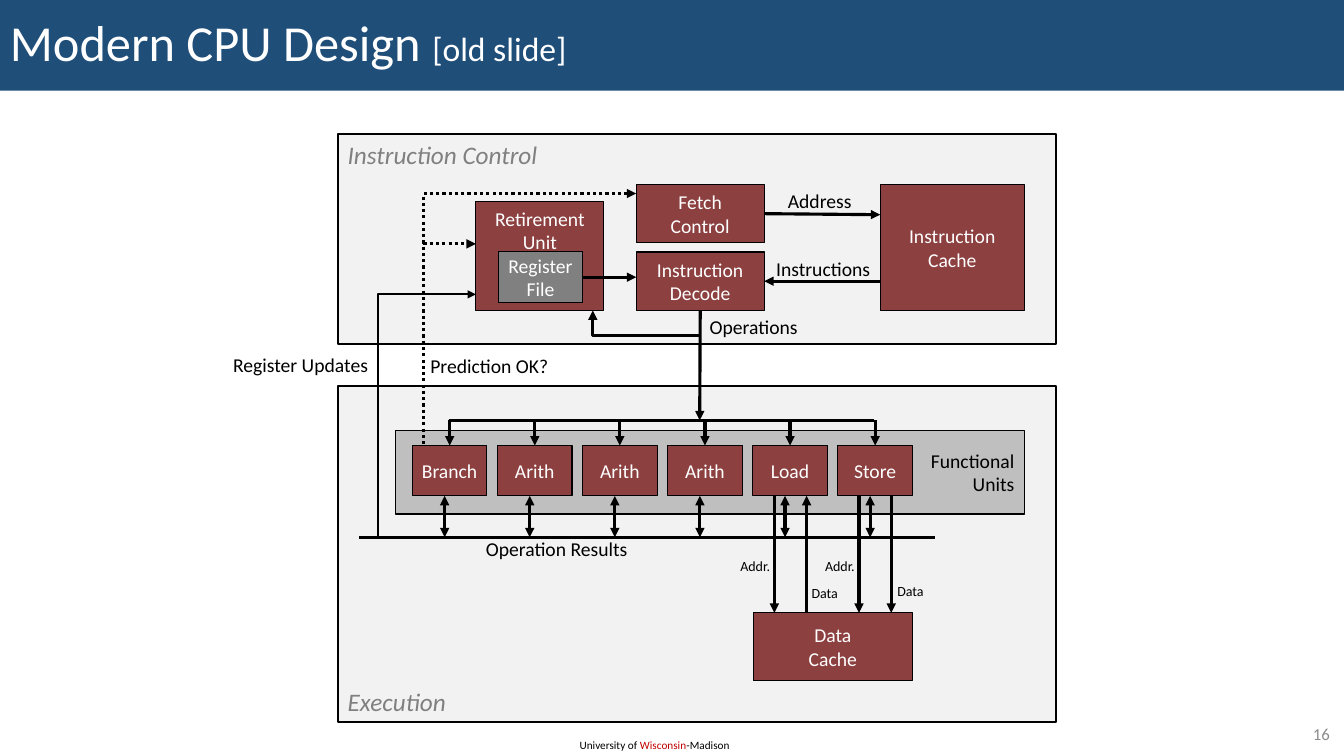
import pptx
import pptx.util
import pptx.dml.color
import pptx.enum.dml
import pptx.enum.shapes
import pptx.enum.text
import pptx.oxml.ns
from lxml import etree

Inches = pptx.util.Inches
ALIGN = pptx.enum.text.PP_ALIGN
ANCHOR = pptx.enum.text.MSO_ANCHOR
LEFT, CENTER, RIGHT = ALIGN.LEFT, ALIGN.CENTER, ALIGN.RIGHT
TOP, MIDDLE, BOTTOM = ANCHOR.TOP, ANCHOR.MIDDLE, ANCHOR.BOTTOM

COLORS = {"black": "000000", "white": "FFFFFF", "banner": "1F4E79", "panel": "F2F2F2",
          "band": "BFBFBF", "block": "8C4040", "gray": "808080", "red": "C00000", "number": "8C8C8C"}

TITLE = [("Modern CPU Design ", 36, "white"), ("[old slide]", 24, "white")]
FOOTER = [("University of ", 8, "black"), ("Wisconsin", 8, "red"), ("-Madison", 8, "black")]
PAGE = "16"

PANELS = [
    ("Execution", (3.35, 3.83, 7.12, 3.33), BOTTOM),
    ("Instruction Control", (3.35, 1.33, 7.12, 2.08), TOP),
]
FUNCTIONAL_UNITS = ("Functional\nUnits", (3.92, 4.27, 6.24, 0.83))
BLOCKS = {
    "icache": ("Instruction\nCache", (8.73, 1.83, 1.43, 1.25), "block", MIDDLE),
    "dcache": ("Data\nCache", (7.47, 6.08, 1.58, 0.67), "block", MIDDLE),
    "fetch": ("Fetch\nControl", (6.31, 1.83, 1.27, 0.58), "block", MIDDLE),
    "decode": ("Instruction\nDecode", (6.31, 2.5, 1.27, 0.58), "block", MIDDLE),
    "retire": ("Retirement\nUnit", (4.72, 2, 1.27, 1.08), "block", TOP),
    "registers": ("Register\nFile", (4.94, 2.5, 0.84, 0.5), "gray", MIDDLE),
}
UNITS = ["Branch", "Arith", "Arith", "Arith", "Load", "Store"]
UNIT_LEFT, UNIT_PITCH, UNIT_WIDTH = 4.09, 0.844, 0.74
UNIT_TOP, UNIT_BOTTOM = 4.42, 4.92
ISSUE_Y, RESULT_Y, DCACHE_TOP = 4.17, 5.33, 6.08

WIRES = [
    (("fetch", 3), (8.73, 2.13), "tail", False),
    ((8.73, 2.79), ("decode", 3), "tail", False),
    (("decode", 2), (6.94, ISSUE_Y), "tail", False),
    (("registers", 3), (6.31, 2.75), "tail", False),
    ((4.2, 2.42), (4.72, 2.42), "tail", True),
    ((7.68, UNIT_BOTTOM), (7.68, DCACHE_TOP), "tail", False),
    ((8, DCACHE_TOP), (8, UNIT_BOTTOM), "tail", False),
    ((8.52, UNIT_BOTTOM), (8.52, DCACHE_TOP), "tail", False),
    ((8.84, UNIT_BOTTOM), (8.84, DCACHE_TOP), "tail", False),
    ((4.45, ISSUE_Y), (8.67, ISSUE_Y), "", False),
    ((3.56, RESULT_Y), (9.27, RESULT_Y), "", False),
]
BENDS = [
    ([(6.31, 1.92), (4.2, 1.92), (4.2, UNIT_TOP)], "head", True, 2.25),
    ([(4.72, 2.92), (3.75, 2.92), (3.75, RESULT_Y)], "head", False, 1.5),
    ([(6.94, 3.33), (5.88, 3.33), (5.88, 3.08)], "tail", False, 2.25),
]
LABELS = [
    ("Address", (7.7, 1.83, 0.86, 0.34), 14, CENTER),
    ("Instructions", (7.58, 2.5, 1.17, 0.34), 14, CENTER),
    ("Operations", (6.92, 3.08, 1.11, 0.34), 14, CENTER),
    ("Prediction OK?", (4.17, 3.46, 1.41, 0.34), 14, LEFT),
    ("Register Updates", (2.17, 3.45, 1.58, 0.34), 14, RIGHT),
    ("Operation Results", (4.72, 5.28, 1.66, 0.34), 14, LEFT),
    ("Data", (8.79, 5.73, 0.48, 0.27), 10, CENTER),
    ("Data", (7.94, 5.75, 0.48, 0.27), 10, CENTER),
    ("Addr.", (7.23, 5.48, 0.52, 0.27), 10, CENTER),
    ("Addr.", (8.07, 5.48, 0.52, 0.27), 10, CENTER),
]

deck = pptx.Presentation()
deck.slide_width, deck.slide_height = Inches(13.33), Inches(7.5)
slide = deck.slides.add_slide(deck.slide_layouts[6])
shapes = slide.shapes
blocks = {}


def rgb(color):
    return pptx.dml.color.RGBColor.from_string(COLORS[color])


def set_font(font, size, color, italic=None):
    font.name, font.size, font.italic = "Calibri", pptx.util.Pt(size), italic
    font.color.rgb = rgb(color)


def write(shape, text, size, color, align, anchor, italic=None, wrap=False):
    frame = shape.text_frame
    frame.word_wrap, frame.vertical_anchor = wrap, anchor
    frame.text = text
    for paragraph in frame.paragraphs:
        paragraph.alignment = align
        set_font(paragraph.font, size, color, italic)


def write_runs(shape, runs, anchor):
    frame = shape.text_frame
    frame.word_wrap, frame.vertical_anchor = True, anchor
    paragraph = frame.paragraphs[0]
    paragraph.alignment = LEFT
    for text, size, color in runs:
        run = paragraph.add_run()
        run.text = text
        set_font(run.font, size, color)
    return paragraph


def add_box(place, fill, border=None):
    box = shapes.add_shape(pptx.enum.shapes.MSO_SHAPE.RECTANGLE, *map(Inches, place))
    box.shadow.inherit = False
    box.fill.solid()
    box.fill.fore_color.rgb = rgb(fill)
    if border:
        box.line.color.rgb = rgb("black")
        box.line.width = pptx.util.Pt(border)
    else:
        box.line.fill.background()
    return box


def add_label(text, place, size, align, color="black", anchor=TOP):
    write(shapes.add_textbox(*map(Inches, place)), text, size, color, align, anchor)


def style_line(line, arrows, dotted, width=2.25):
    line.color.rgb = rgb("black")
    line.width = pptx.util.Pt(width)
    if dotted:
        line.dash_style = pptx.enum.dml.MSO_LINE.ROUND_DOT
    for end in arrows.split():
        etree.SubElement(line._get_or_add_ln(), pptx.oxml.ns.qn(f"a:{end}End"), type="triangle")


def add_wire(start, end, arrows, dotted=False):
    points = [(0, 0) if point[0] in blocks else point for point in (start, end)]
    wire = shapes.add_connector(pptx.enum.shapes.MSO_CONNECTOR.STRAIGHT,
                                *(Inches(value) for point in points for value in point))
    for point, connect in ((start, wire.begin_connect), (end, wire.end_connect)):
        if point[0] in blocks:
            connect(blocks[point[0]], point[1])
    style_line(wire.line, arrows, dotted)
    etree.SubElement(wire._element.spPr, pptx.oxml.ns.qn("a:effectLst"))


def add_bend(points, arrows, dotted, width):
    corners = [(Inches(x), Inches(y)) for x, y in points]
    builder = shapes.build_freeform(*corners[0])
    builder.add_line_segments(corners[1:], close=False)
    bend = builder.convert_to_shape()
    bend.shadow.inherit = False
    bend.fill.background()
    style_line(bend.line, arrows, dotted, width)


banner = add_box((0, 0, 13.33, 0.9), "banner")
write_runs(banner, TITLE, MIDDLE).line_spacing = 0.9
write_runs(shapes.add_textbox(*map(Inches, (5.65, 7.28, 1.72, 0.24))), FOOTER, TOP)
add_label(PAGE, (12.53, 7.13, 0.76, 0.29), 12, RIGHT, "number", MIDDLE)

for text, place, anchor in PANELS:
    write(add_box(place, "panel", 1.5), text, 18, "gray", LEFT, anchor, True)
band_text, band_place = FUNCTIONAL_UNITS
write(add_box(band_place, "band", 0.75), band_text, 14, "black", RIGHT, MIDDLE)

for key, (text, place, fill, anchor) in BLOCKS.items():
    blocks[key] = add_box(place, fill, 0.75)
    write(blocks[key], text, 14, "white", CENTER, anchor)

for index, unit in enumerate(UNITS):
    left = UNIT_LEFT + index * UNIT_PITCH
    key = f"unit {index}"
    blocks[key] = add_box((left, UNIT_TOP, UNIT_WIDTH, UNIT_BOTTOM - UNIT_TOP), "block", 0.75)
    write(blocks[key], unit, 14, "white", CENTER, MIDDLE)
    add_wire((left + UNIT_WIDTH / 2, ISSUE_Y), (key, 0), "tail")
    result_x = left + 0.32
    add_wire((result_x, UNIT_BOTTOM), (result_x, RESULT_Y), "head tail")

for wire in WIRES:
    add_wire(*wire)
for bend in BENDS:
    add_bend(*bend)
for label in LABELS:
    add_label(*label)

deck.save("out.pptx")
